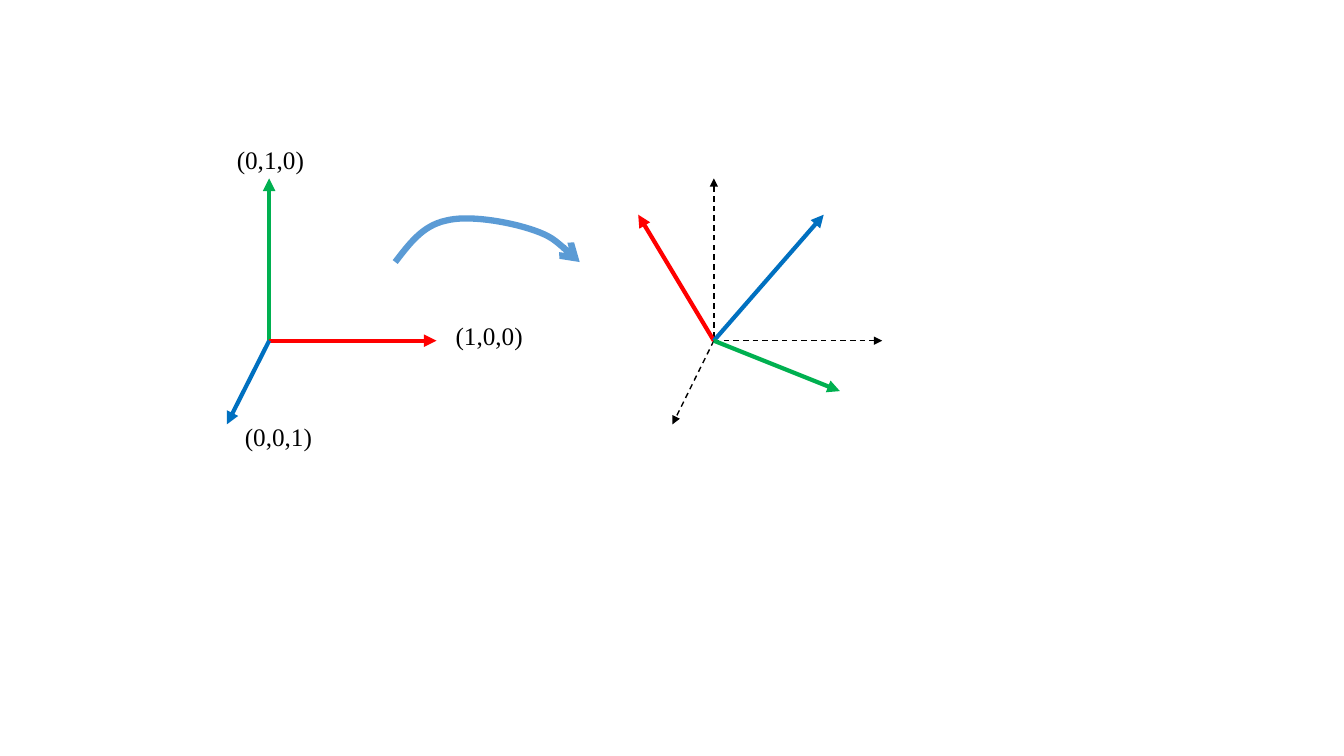
"""Draw a rotation of the three unit axes."""
from lxml import etree
from pptx import Presentation
from pptx.dml.color import RGBColor
from pptx.enum import dml, shapes, text
from pptx.oxml import ns
from pptx.util import Inches, Pt

HUES = {"red": "FF0000", "green": "00B050", "blue": "0070C0",
        "black": "000000", "sky": "5B9BD5"}
LEFT = (2.67, 3.38)
RIGHT = (7.08, 3.38)
AXES = [(LEFT, (2.67, 1.77), "green"), (LEFT, (4.33, 3.38), "red"),
        (LEFT, (2.25, 4.21), "blue")]
FRAME = [((7.08, 3.35), (7.08, 1.77)), (RIGHT, (8.75, 3.38)),
         (RIGHT, (6.67, 4.21))]
TURNED = [(RIGHT, (6.33, 2.13), "red"), (RIGHT, (8.17, 2.13), "blue"),
          (RIGHT, (8.33, 3.88), "green")]
LABELS = [("(1,0,0)", 4.42, 3.13), ("(0,1,0)", 2.25, 1.38),
          ("(0,0,1)", 2.33, 4.13)]
CURVE = [(3.92, 2.6), (4.06, 2.42), (4.19, 2.24), (4.42, 2.19),
         (4.64, 2.13), (5.03, 2.2), (5.25, 2.27),
         (5.47, 2.34), (5.61, 2.47), (5.75, 2.6)]


def color(name):
    return RGBColor.from_string(HUES[name])


def style(shape, hue, width, head, dash=None):
    line = shape.line
    line.color.rgb = color(hue)
    line.width = Pt(width)
    if dash:
        line.dash_style = dash
    ln = shape.element.spPr.find(ns.qn("a:ln"))
    etree.SubElement(ln, ns.qn("a:tailEnd"), type=head)


def arrow(slide, start, end, hue, width=3, dash=None):
    ends = [Inches(v) for v in start + end]
    line = slide.shapes.add_connector(shapes.MSO_CONNECTOR.STRAIGHT, *ends)
    style(line, hue, width, "triangle", dash)
    etree.SubElement(line.element.spPr, ns.qn("a:effectLst"))


def curve(slide, points, hue):
    first, *rest = [(Inches(x), Inches(y)) for x, y in points]
    pen = slide.shapes.build_freeform(*first)
    pen.add_line_segments(rest, close=False)
    shape = pen.convert_to_shape()
    steps = list(shape.element.iter(ns.qn("a:lnTo")))
    for i in range(0, len(steps), 3):
        bend, *others = steps[i:i + 3]
        bend.tag = ns.qn("a:cubicBezTo")
        for step in others:
            bend.append(step[0])
            step.getparent().remove(step)
    shape.shadow.inherit = False
    shape.fill.background()
    style(shape, hue, 4.5, "arrow")


def label(slide, words, x, y):
    box = slide.shapes.add_textbox(Inches(x), Inches(y), Inches(1.92), Inches(0.4))
    frame = box.text_frame
    frame.word_wrap = True
    frame.auto_size = text.MSO_AUTO_SIZE.SHAPE_TO_FIT_TEXT
    frame.text = words
    font = frame.paragraphs[0].runs[0].font
    font.name = "Times New Roman"
    font.size = Pt(18)
    font.color.rgb = color("black")


def main():
    deck = Presentation()
    deck.slide_width = Inches(13.33)
    deck.slide_height = Inches(7.5)
    slide = deck.slides.add_slide(deck.slide_layouts[6])
    for start, end, hue in AXES:
        arrow(slide, start, end, hue)
    curve(slide, CURVE, "sky")
    for words, x, y in LABELS:
        label(slide, words, x, y)
    for start, end in FRAME:
        arrow(slide, start, end, "black", 1, dml.MSO_LINE.DASH)
    for start, end, hue in TURNED:
        arrow(slide, start, end, hue)
    deck.save("out.pptx")


if __name__ == "__main__":
    main()
